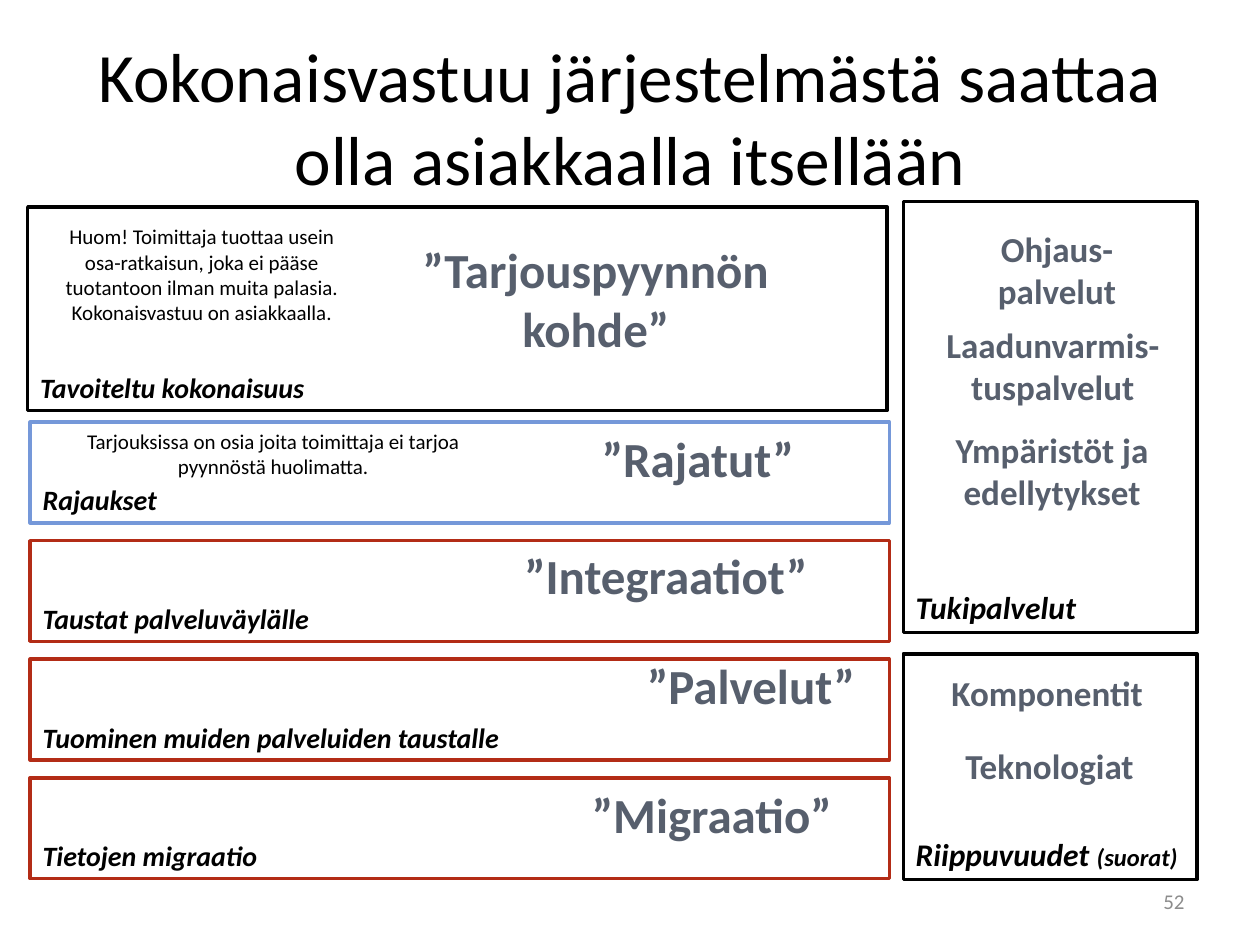
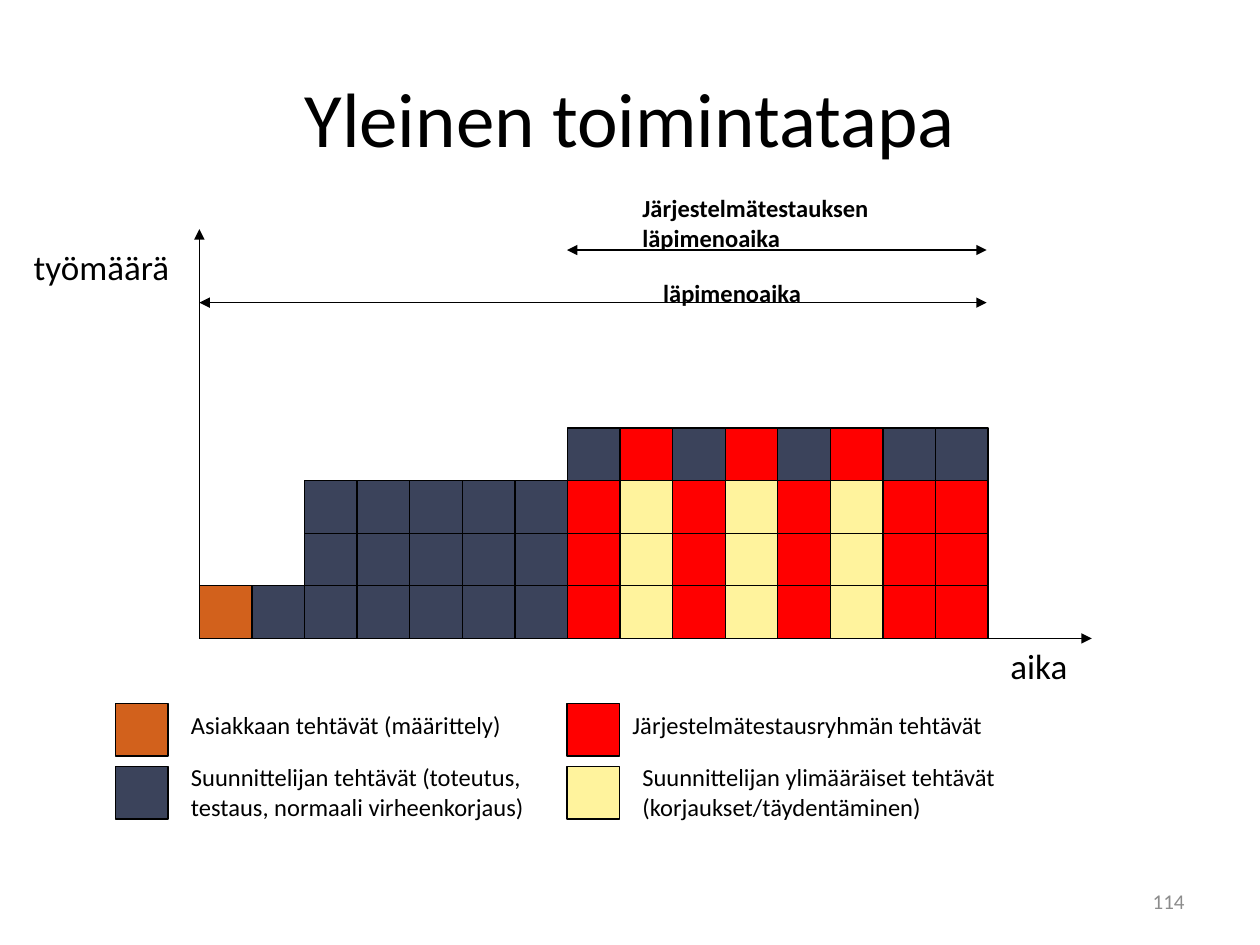
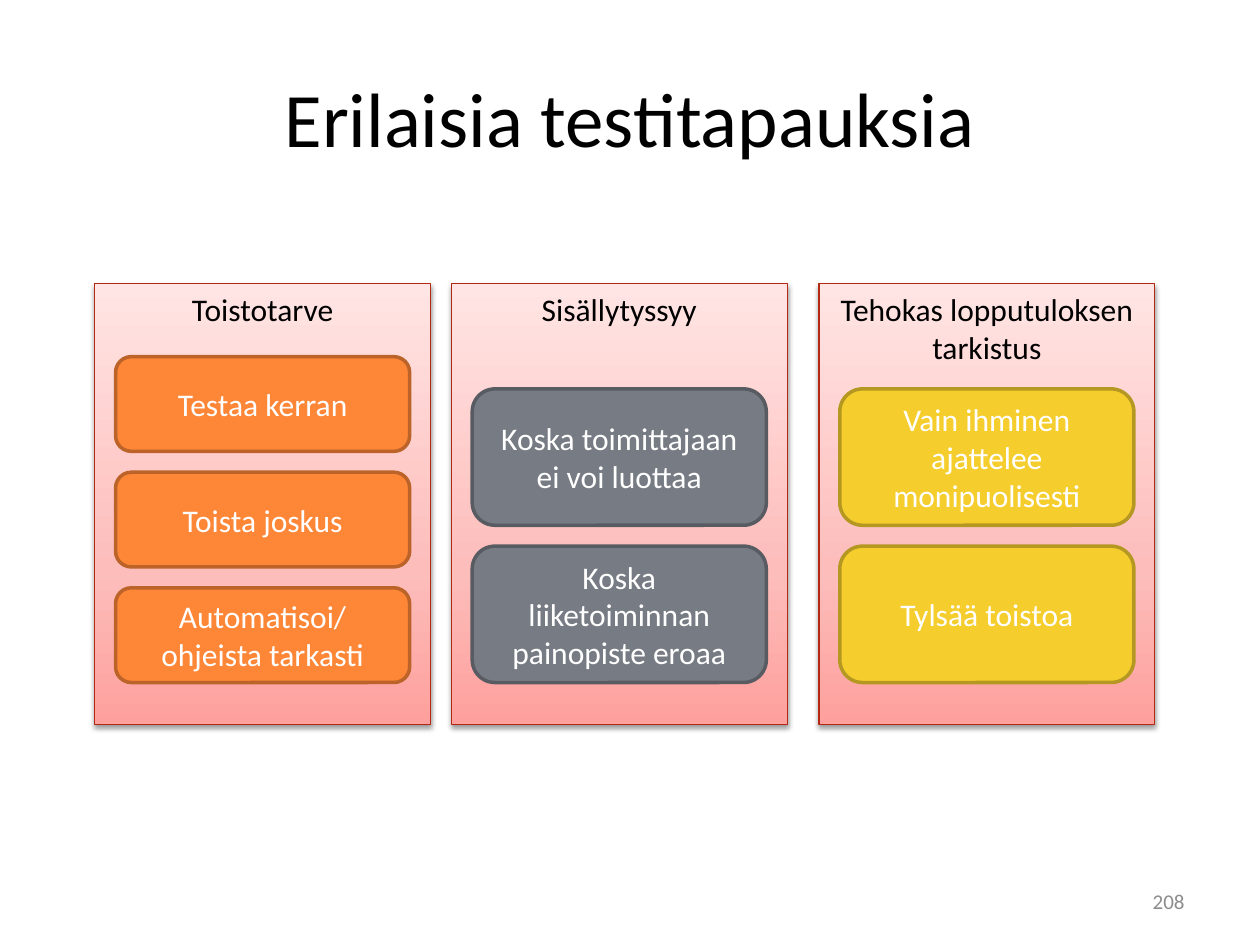
from dataclasses import dataclass

import pptx
import pptx.dml.color
import pptx.enum.shapes
import pptx.enum.text
import pptx.oxml.ns
import pptx.oxml.xmlchemy
import pptx.util

ALIGN = pptx.enum.text.PP_ALIGN
ANCHOR = pptx.enum.text.MSO_ANCHOR
SHAPES = pptx.enum.shapes.MSO_SHAPE


@dataclass(frozen=True)
class Theme:
    font: str = "Calibri"
    black: str = "000000"
    white: str = "FFFFFF"
    heading: str = "575F6D"
    page_number: str = "8C8C8C"
    excluded: str = "7598D9"
    background_work: str = "B32C16"
    customer: str = "D2611C"
    designer: str = "3B435B"
    tester: str = "FF0000"
    extra: str = "FFF39D"
    panel_line: str = "B32812"
    panel_stops: tuple = ((0, "FEA09D"), (35, "FDBDBB"), (100, "FFE5E4"))
    orange: tuple = ("FE8637", "BC6329")
    grey: tuple = ("777C84", "585C62")
    yellow: tuple = ("F5CD2D", "B59821")
    title_size: float = 44
    long_title_size: float = 39.6
    heading_size: float = 28
    large_size: float = 20
    body_size: float = 18
    label_size: float = 16
    small_size: float = 14
    note_size: float = 12
    thick: float = 2
    thin: float = 0.75


THEME = Theme()


def rgb(color):
    return pptx.dml.color.RGBColor.from_string(color)


def lengths(values):
    return [pptx.util.Cm(value) for value in values]


def new_element(tag, **attributes):
    element = pptx.oxml.xmlchemy.OxmlElement(tag)
    for name, value in attributes.items():
        element.set(name, str(value))
    return element


def format_run(run, size, color, bold=False, italic=False):
    font = run.font
    font.name = THEME.font
    font.size = pptx.util.Pt(size)
    font.color.rgb = rgb(color)
    font.bold = bold
    font.italic = italic


def write(shape, text, size, color=THEME.black, align=ALIGN.LEFT,
          anchor=ANCHOR.TOP, bold=False, italic=False):
    frame = shape.text_frame
    frame.word_wrap = True
    frame.vertical_anchor = anchor
    frame.text = text
    paragraph = frame.paragraphs[0]
    paragraph.alignment = align
    format_run(paragraph.runs[0], size, color, bold, italic)
    return paragraph


def add_text(slide, box, text, size, **style):
    shape = slide.shapes.add_textbox(*lengths(box))
    return write(shape, text, size, **style)


def add_box(slide, box, fill, line, width, preset=SHAPES.RECTANGLE):
    shape = slide.shapes.add_shape(preset, *lengths(box))
    shape.shadow.inherit = False
    shape.fill.solid()
    shape.fill.fore_color.rgb = rgb(fill)
    shape.line.color.rgb = rgb(line)
    shape.line.width = pptx.util.Pt(width)
    return shape


def add_arrow(slide, start, end, ends=("tailEnd",)):
    connector = slide.shapes.add_connector(
        pptx.enum.shapes.MSO_CONNECTOR.STRAIGHT, *lengths(start + end))
    connector.line.color.rgb = rgb(THEME.black)
    connector.line.width = pptx.util.Pt(THEME.thin)
    properties = connector.element.spPr
    line = properties.find(pptx.oxml.ns.qn("a:ln"))
    for name in ends:
        line.append(new_element(f"a:{name}", type="triangle"))
    properties.append(new_element("a:effectLst"))


def add_color(parent, color):
    element = new_element("a:srgbClr", val=color)
    parent.append(element)
    return element


def add_slide(presentation, title, number, title_size=THEME.title_size):
    slide = presentation.slides.add_slide(presentation.slide_layouts[6])
    add_text(slide, (1.27, 0.76, 22.86, 3.18), title, title_size,
             align=ALIGN.CENTER, anchor=ANCHOR.MIDDLE)
    add_text(slide, (18.21, 17.65, 5.92, 1.02), str(number), THEME.note_size,
             color=THEME.page_number, align=ALIGN.RIGHT, anchor=ANCHOR.MIDDLE)
    return slide


def add_area(slide, box, label, line=THEME.black, size=THEME.label_size):
    shape = add_box(slide, box, THEME.white, line, THEME.thick)
    return write(shape, label, size, anchor=ANCHOR.BOTTOM, bold=True, italic=True)


def add_heading(slide, box, text, size=THEME.heading_size):
    add_text(slide, box, text, size, color=THEME.heading,
             align=ALIGN.CENTER, bold=True)


def add_panel(slide, box, title):
    panel = add_box(slide, box, THEME.white, THEME.panel_line, THEME.thin)
    panel.fill.gradient()
    panel.fill.gradient_angle = 90
    properties = panel.element.spPr
    stops = properties.find(".//" + pptx.oxml.ns.qn("a:gsLst"))
    for stop in list(stops):
        stops.remove(stop)
    for position, color in THEME.panel_stops:
        stop = new_element("a:gs", pos=position * 1000)
        add_color(stop, color)
        stops.append(stop)
    shadow = new_element("a:outerShdw", blurRad=int(pptx.util.Pt(3.1)),
                         dist=int(pptx.util.Pt(1.6)), dir=90 * 60000,
                         rotWithShape=0)
    add_color(shadow, THEME.black).append(new_element("a:alpha", val=38000))
    properties.find(pptx.oxml.ns.qn("a:effectLst")).append(shadow)
    write(panel, title, THEME.body_size, align=ALIGN.CENTER)


def add_card(slide, box, text, colors):
    card = add_box(slide, box, *colors, THEME.thick, SHAPES.ROUNDED_RECTANGLE)
    write(card, text, THEME.body_size, color=THEME.white,
          align=ALIGN.CENTER, anchor=ANCHOR.MIDDLE)


def build_responsibility(presentation):
    slide = add_slide(
        presentation,
        "Kokonaisvastuu järjestelmästä saattaa olla asiakkaalla itsellään",
        52, THEME.long_title_size)
    add_area(slide, (0.56, 4.17, 17.32, 4.11), "Tavoiteltu kokonaisuus")
    add_heading(slide, (7.21, 4.7, 9.6, 2.13), "”Tarjouspyynnön kohde”")

    strips = (
        ("Rajaukset", THEME.excluded, "”Rajatut”", (10.54, 8.51, 7.06)),
        ("Taustat palveluväylälle", THEME.background_work,
         "”Integraatiot”", (9.22, 10.87, 8.41)),
        ("Tuominen muiden palveluiden taustalle", THEME.background_work,
         "”Palvelut”", (11.61, 13.08, 7.06)),
        ("Tietojen migraatio", THEME.background_work,
         "”Migraatio”", (10.82, 15.7, 7.06)),
    )
    for index, (label, line, heading, place) in enumerate(strips):
        add_area(slide, (0.61, 8.51 + 2.39 * index, 17.32, 2.03), label, line)
        add_heading(slide, place + (1.45,), heading)

    add_area(slide, (18.21, 4.06, 5.92, 8.69), "Tukipalvelut", size=THEME.body_size)
    dependencies = add_area(slide, (18.21, 13.18, 5.92, 4.55), "Riippuvuudet ",
                            size=THEME.body_size)
    detail = dependencies.add_run()
    detail.text = "(suorat)"
    format_run(detail, THEME.small_size, THEME.black, True, True)
    for text, box in (
        ("Ohjaus-palvelut", (18.95, 4.47, 4.72, 1.96)),
        ("Laadunvarmis-tuspalvelut", (18.62, 6.4, 5.21, 1.96)),
        ("Ympäristöt ja edellytykset", (18.85, 8.51, 4.72, 1.96)),
        ("Komponentit", (18.39, 13.41, 5.44, 1.12)),
        ("Teknologiat", (18.8, 14.88, 4.72, 1.12)),
    ):
        add_heading(slide, box, text, THEME.large_size)

    for text, box in (
        ("Huom! Toimittaja tuottaa usein osa-ratkaisun, joka ei pääse tuotantoon "
         "ilman muita palasia. Kokonaisvastuu on asiakkaalla.",
         (1.02, 4.39, 6.1, 2.31)),
        ("Tarjouksissa on osia joita toimittaja ei tarjoa pyynnöstä huolimatta.",
         (0.81, 8.51, 9.4, 1.27)),
    ):
        add_text(slide, box, text, THEME.note_size, align=ALIGN.CENTER)


def build_workload(presentation):
    slide = add_slide(presentation, "Yleinen toimintatapa", 114)
    cell, left, baseline = 1.06, 4.02, 12.87
    add_arrow(slide, (left, baseline), (22.01, baseline))
    add_arrow(slide, (left, baseline), (left, 4.62))

    def add_cell(x, y, color):
        add_box(slide, (x, y, cell, cell), color, THEME.black, THEME.thin)

    design = (THEME.designer,) * 3
    test = (THEME.tester,) * 3 + (THEME.designer,)
    repair = (THEME.extra,) * 3 + (THEME.tester,)
    columns = [(THEME.customer,), (THEME.designer,)]
    columns += [design] * 5 + [test, repair] * 3 + [test] * 2
    for column, stack in enumerate(columns):
        for level, color in enumerate(stack, start=1):
            add_cell(left + column * cell, baseline - level * cell, color)

    for x, y, color in ((2.33, 14.18, THEME.customer), (2.33, 15.45, THEME.designer),
                        (11.43, 14.18, THEME.tester), (11.43, 15.45, THEME.extra)):
        add_cell(x, y, color)
    for text, box in (
        ("Asiakkaan tehtävät (määrittely)", (3.6, 14.18, 7.41, 0.85)),
        ("Suunnittelijan tehtävät (toteutus, testaus, normaali virheenkorjaus)",
         (3.6, 15.24, 7.82, 1.45)),
        ("Järjestelmätestausryhmän tehtävät", (12.5, 14.18, 8.47, 0.85)),
        ("Suunnittelijan ylimääräiset tehtävät (korjaukset/täydentäminen)",
         (12.7, 15.24, 10.16, 1.45)),
    ):
        add_text(slide, box, text, THEME.small_size)

    add_text(slide, (0.43, 4.83, 4.45, 1.08), "työmäärä", THEME.large_size)
    add_text(slide, (20.12, 12.87, 3.39, 1.08), "aika", THEME.large_size)
    for start, y, text, box in (
        (11.43, 5.04, "Järjestelmätestauksen läpimenoaika", (12.7, 3.77, 6.77, 1.45)),
        (left, 6.1, "läpimenoaika", (13.12, 5.47, 4.87, 0.85)),
    ):
        add_arrow(slide, (start, y), (19.89, y), ("headEnd", "tailEnd"))
        add_text(slide, box, text, THEME.small_size, bold=True)


def build_test_cases(presentation):
    slide = add_slide(presentation, "Erilaisia testitapauksia", 208)
    inset, gap, stack_bottom = 0.42, 0.42, 13.76
    panels = (
        (1.91, "Toistotarve", THEME.orange, 1.91,
         ("Testaa kerran", "Toista joskus", "Automatisoi/ ohjeista tarkasti")),
        (9.1, "Sisällytyssyy", THEME.grey, 2.75,
         ("Koska toimittajaan ei voi luottaa",
          "Koska liiketoiminnan painopiste eroaa")),
        (16.51, "Tehokas lopputuloksen tarkistus", THEME.yellow, 2.75,
         ("Vain ihminen ajattelee monipuolisesti", "Tylsää toistoa")),
    )
    for left, title, colors, height, cards in panels:
        add_panel(slide, (left, 5.72, 6.77, 8.89), title)
        pitch = height + gap
        top = stack_bottom + gap - len(cards) * pitch
        for index, text in enumerate(cards):
            add_card(slide, (left + inset, top + index * pitch, 5.93, height),
                     text, colors)


def main():
    presentation = pptx.Presentation()
    presentation.slide_width = pptx.util.Cm(25.4)
    presentation.slide_height = pptx.util.Cm(19.05)
    build_responsibility(presentation)
    build_workload(presentation)
    build_test_cases(presentation)
    presentation.save("out.pptx")


if __name__ == "__main__":
    main()
